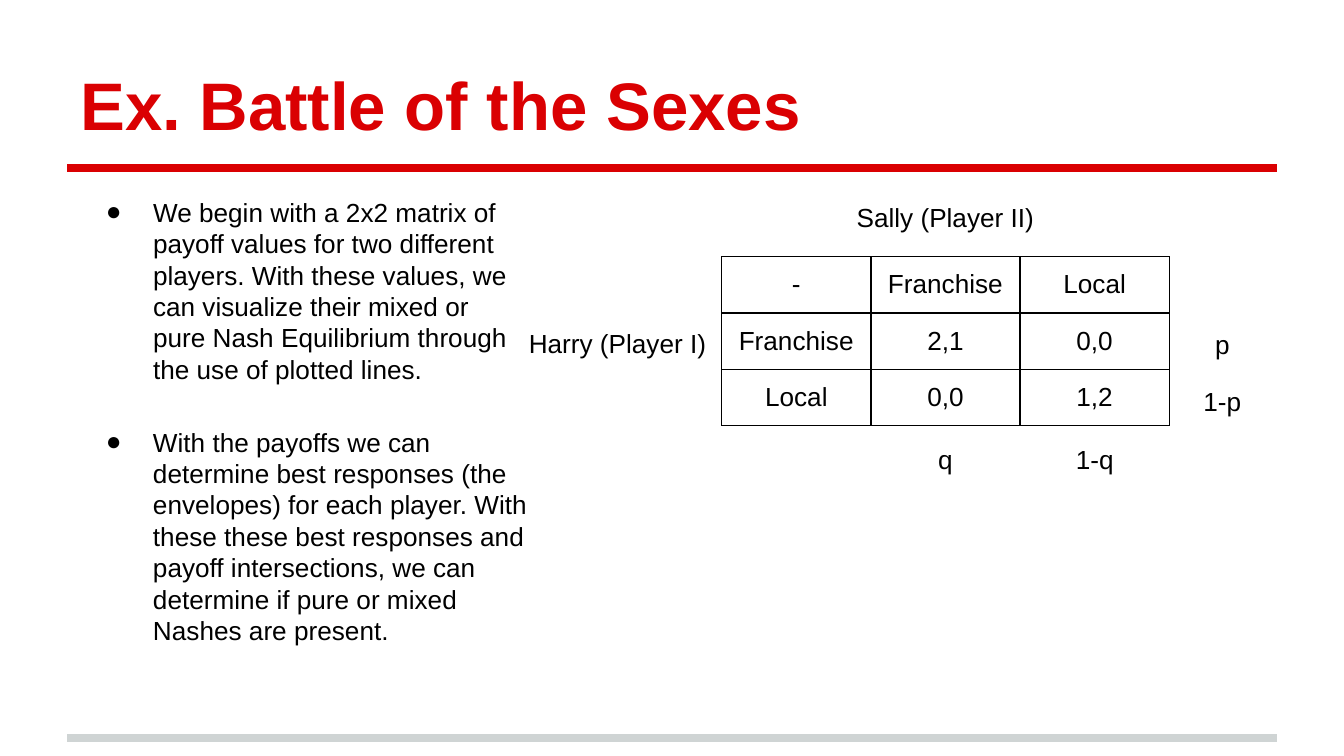
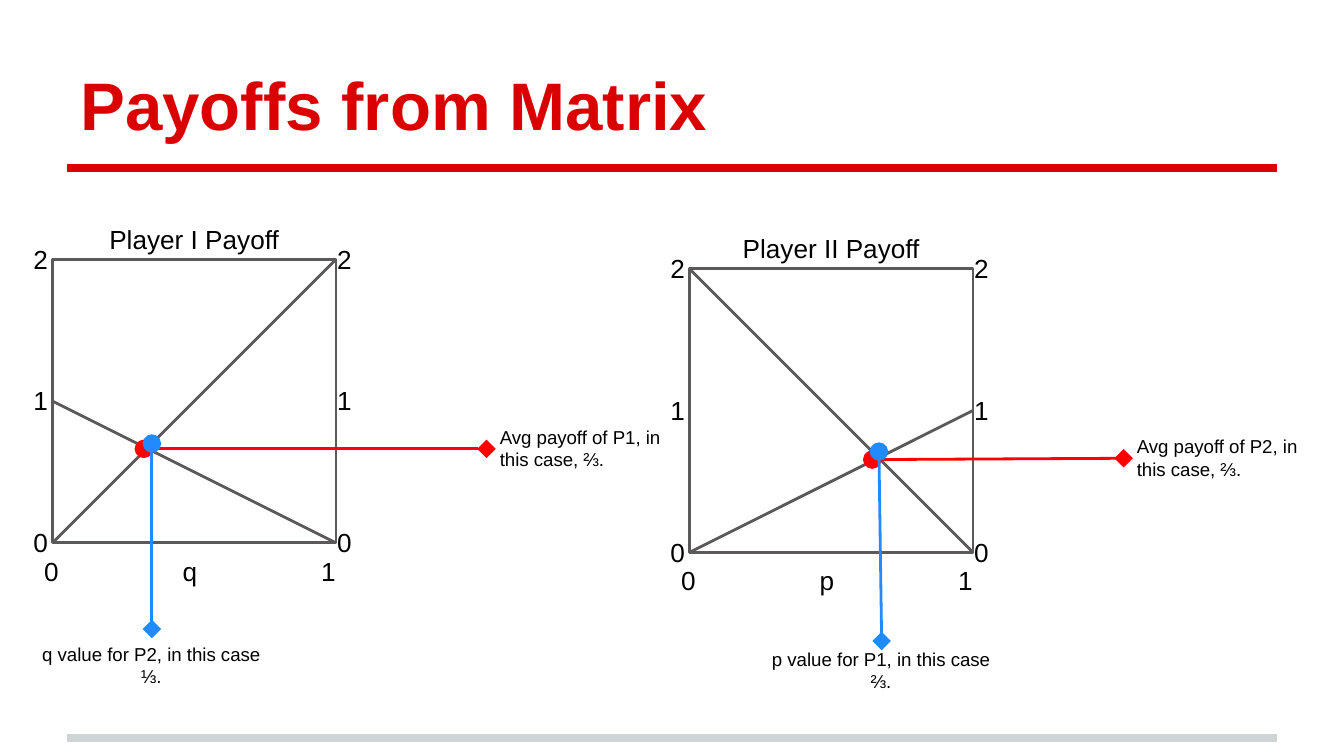
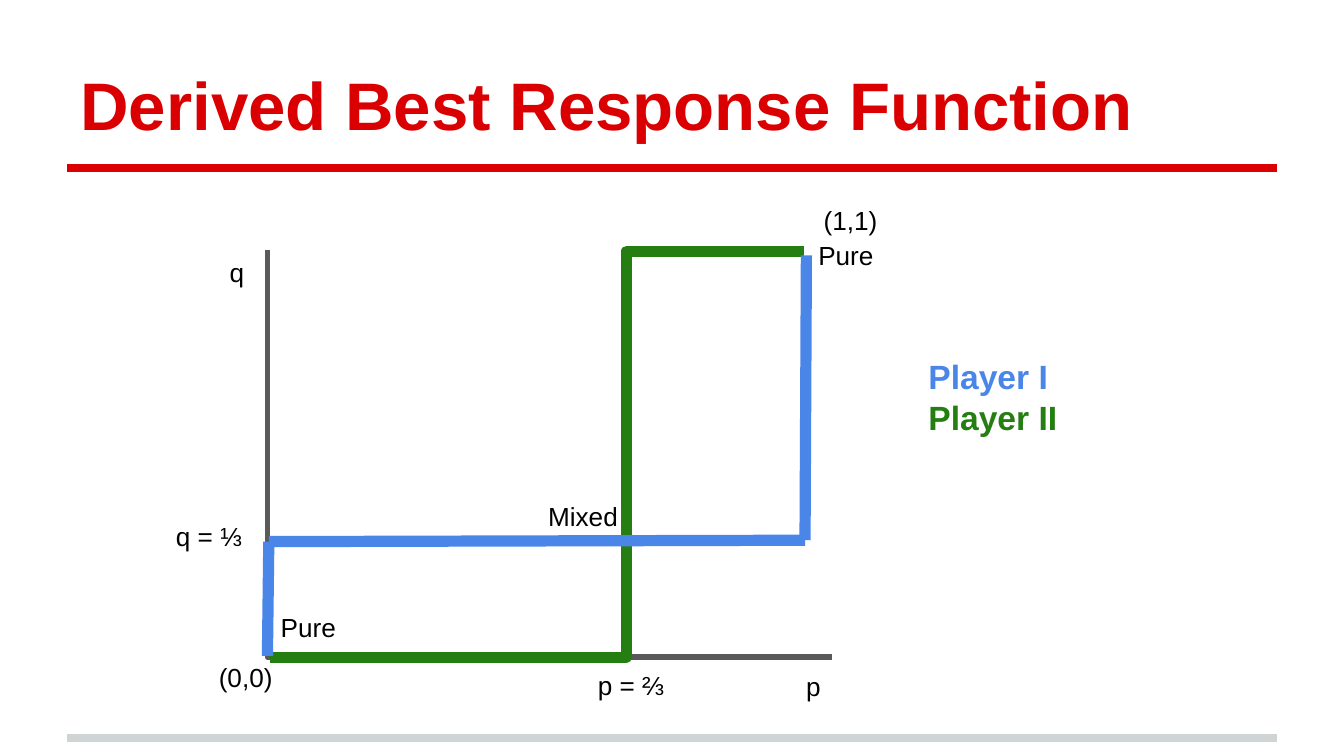
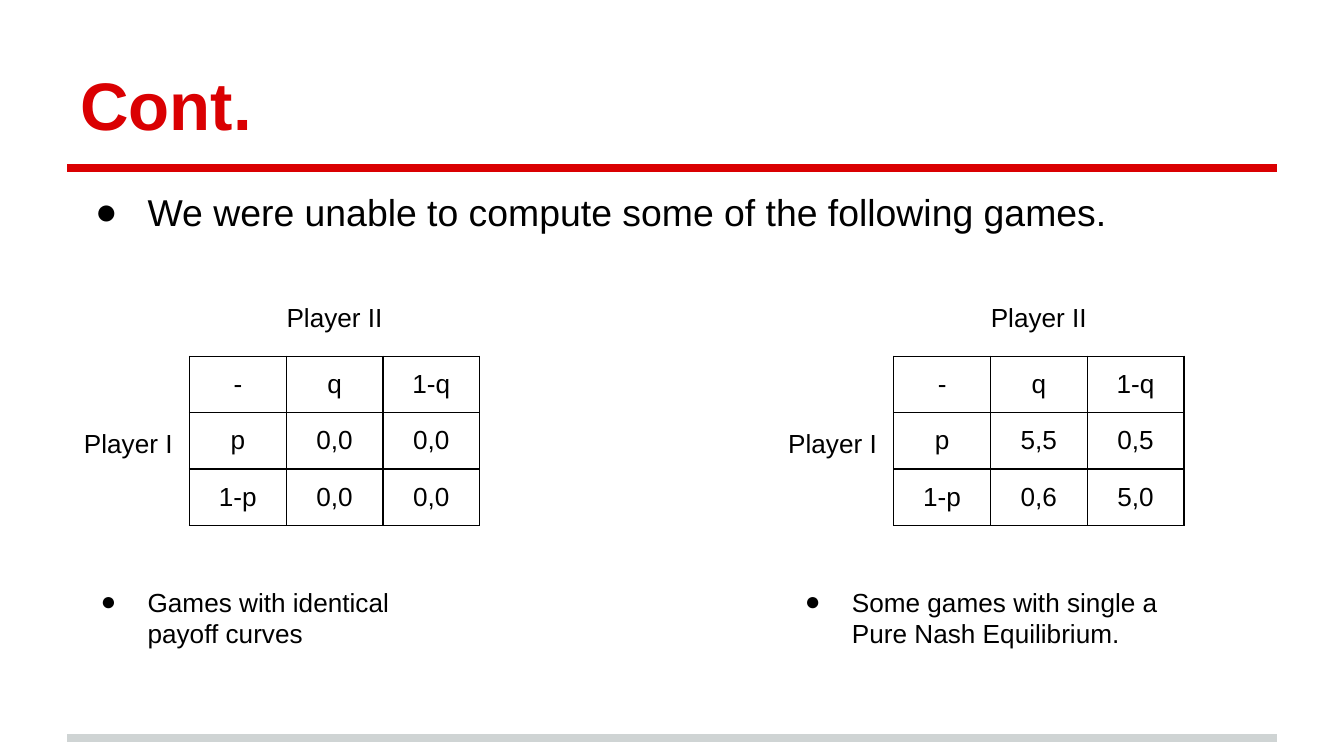
from lxml import etree
from pptx import Presentation
from pptx import util as u
from pptx.dml.color import RGBColor
from pptx.enum import shapes, text
from pptx.oxml import ns

COLORS = {
    "title": "DA0002", "footer": "CFD4D4", "ink": "000000", "axis": "5B595A",
    "payoff": "FF0000", "chance": "228AFF", "player1": "4A86E8", "player2": "257E12",
}
FONT = "Arial"
LEFT, CENTER = text.PP_ALIGN.LEFT, text.PP_ALIGN.CENTER
TOP, MIDDLE, BOTTOM = text.MSO_ANCHOR.TOP, text.MSO_ANCHOR.MIDDLE, text.MSO_ANCHOR.BOTTOM


def color(name):
    """Return the named colour."""
    return RGBColor.from_string(COLORS[name])


def inches(values):
    """Convert numbers to lengths."""
    return [u.Inches(value) for value in values]


def child(parent, tag, **attributes):
    """Append a DrawingML element to its parent."""
    return etree.SubElement(parent, ns.qn("a:" + tag), attributes)


def style(para, size=14, ink="ink", bold=False, align=LEFT):
    """Set the font and alignment of a paragraph."""
    para.alignment = align
    para.font.name = FONT
    para.font.size = u.Pt(size)
    para.font.bold = bold
    para.font.color.rgb = color(ink)


def set_insets(target, bottom=0.1):
    """Set the margins of a text frame or a cell."""
    target.margin_left = target.margin_top = target.margin_right = u.Inches(0.1)
    target.margin_bottom = u.Inches(bottom)


def add_text(page, box, words, anchor=TOP, **font):
    """Add a text box with one paragraph and return the paragraph."""
    frame = page.shapes.add_textbox(*inches(box)).text_frame
    frame.word_wrap = True
    frame.vertical_anchor = anchor
    set_insets(frame)
    para = frame.paragraphs[0]
    para.text = words
    style(para, **font)
    return para


def add_bullet(page, box, words, size=14, hanging=0.35):
    """Add a text box with one bulleted paragraph."""
    para = add_text(page, box, words, size=size)
    props = para._p.get_or_add_pPr()
    props.set("marL", str(u.Inches(0.5)))
    props.set("indent", str(-u.Inches(hanging)))
    child(child(props, "buClr"), "srgbClr", val=COLORS["ink"])
    child(props, "buFont", typeface=FONT)
    child(props, "buChar", char="●")


def add_line(page, start, end, ink, width=1.5, bend=None, pointer=False):
    """Add a straight line, or an elbow that turns at the share bend of its width."""
    kind = shapes.MSO_CONNECTOR.STRAIGHT if bend is None else shapes.MSO_CONNECTOR.ELBOW
    line = page.shapes.add_connector(kind, *inches((*start, *end)))
    line.line.color.rgb = color(ink)
    line.line.width = u.Pt(width)
    if bend is not None:
        guides = line._element.spPr.find(ns.qn("a:prstGeom")).get_or_add_avLst()
        child(guides, "gd", name="adj1", fmla=f"val {round(bend * 100000)}")
    if pointer:
        outline = line.line._get_or_add_ln()
        child(outline, "headEnd", type="oval", w="lg", len="lg")
        child(outline, "tailEnd", type="diamond", w="lg", len="lg")
    child(line._element.spPr, "effectLst")
    return line


def add_page(deck, title):
    """Add a slide with the shared title and rules."""
    page = deck.slides.add_slide(deck.slide_layouts[6])
    for y, ink in ((5.49, "footer"), (1.25, "title")):
        add_line(page, (0.5, y), (9.5, y), ink, 4)
    add_text(page, (0.5, 0.23, 9, 0.94), title, BOTTOM, size=36, ink="title", bold=True)
    return page


def border_cell(cell):
    """Draw thin borders on all sides of a cell."""
    props = cell._tc.get_or_add_tcPr()
    for index, side in enumerate(("lnL", "lnR", "lnT", "lnB")):
        border = child(props, side, w=str(u.Pt(0.75)))
        child(child(border, "solidFill"), "srgbClr", val=COLORS["ink"])
        props.insert(index, border)


def add_game(page, left, top, column_width, rows, row_player, column_player, label_width):
    """Add a payoff matrix with the two players' names beside it."""
    row_height = 0.42
    width = column_width * len(rows[0])
    box = inches((left, top, width, row_height * len(rows)))
    table = page.shapes.add_table(len(rows), len(rows[0]), *box).table
    table.first_row = table.horz_banding = False
    for column in table.columns:
        column.width = u.Inches(column_width)
    for row, values in zip(table.rows, rows):
        row.height = u.Inches(row_height)
        for cell, value in zip(row.cells, values):
            cell.text = value
            cell.fill.background()
            set_insets(cell, bottom=0.08)
            border_cell(cell)
            style(cell.text_frame.paragraphs[0], align=CENTER)
    add_text(page, (left, top - 0.51, width, 0.5), column_player, align=CENTER)
    add_text(page, (left - label_width, top, label_width, 1.29), row_player, MIDDLE, align=CENTER)


def add_payoff_plot(page, left, top, title, variable, payoff, chance, note, note_at, rising):
    """Add a payoff square with its two payoff lines, pointers and notes."""
    side = 2.11

    def at(x, y):
        return left + x, top + y

    square = page.shapes.add_shape(shapes.MSO_SHAPE.RECTANGLE, *inches((*at(0, 0), side, side)))
    square.shadow.inherit = False
    square.fill.background()
    square.line.color.rgb = color("axis")
    square.line.width = u.Pt(1.5)
    add_text(page, (*at(0, -0.37), side, 0.37), title, align=CENTER)
    for index, label in enumerate(("0", variable, "1")):
        add_text(page, (*at(-0.16 + 1.03 * index, 2.1), 0.35, 0.49), label)
    for x in (-0.24, 2.02):
        for index, label in enumerate("210"):
            add_text(page, (*at(x, -0.15 + side / 2 * index), 0.23, 0.29), label, MIDDLE)
    near, far = (0, side) if rising else (side, 0)
    add_line(page, at(near, side), at(far, 0), "axis")
    flat = add_line(page, at(far, side), at(near, side / 2), "axis")
    flat.end_connect(square, 1 if rising else 3)
    for (start, end), ink in ((payoff, "payoff"), (chance, "chance")):
        add_line(page, at(*start), at(*end), ink, pointer=True)
    player = "P1" if rising else "P2"
    add_text(page, (*at(3.23, 1.31), 1.58, 0.19),
             f"Avg payoff of {player}, in this case, ⅔.", MIDDLE, size=10)
    add_text(page, (*at(*note_at), 1.95, 0.29), note, size=10, align=CENTER)


def add_response_plot(page, left, top):
    """Add the axes and both best response paths."""
    width, height = 4.2, 3.03
    bottom, right, middle = top + height, left + 4, top + 2.16
    add_line(page, (left, top), (left + width, bottom), "axis", 3, bend=0)
    add_line(page, (left + 0.02, bottom), (right - 0.01, top + 0.01), "player2", 6, bend=0.668)
    path = [(left, bottom - 0.01), (left + 0.01, middle + 0.01),
            (right, middle), (right + 0.01, top + 0.04)]
    for start, end in zip(path, path[1:]):
        add_line(page, start, end, "player1", 6)
    labels = (
        ("Pure", 4, -0.18, 0.68), ("Pure", 0, 2.59, 0.68), ("Mixed", 1.99, 1.76, 0.27),
        ("q = ⅓", -0.78, 1.91, 0.68), ("p = ⅔", 2.36, 3.02, 0.68),
        ("(1,1)", 4.04, -0.38, 0.14), ("(0,0)", -0.46, 3.02, 0.14),
        ("q", -0.38, -0.05, 0.41), ("p", 3.91, 3.03, 0.41),
    )
    for label, x, y, label_height in labels:
        add_text(page, (left + x, top + y, 0.93, label_height), label)


def add_legend(page, box):
    """Add the coloured names of the two players."""
    first = add_text(page, box, "Player I", size=18, ink="player1", bold=True)
    second = first._parent.add_paragraph()
    second.text = "Player II"
    style(second, 18, "player2", True)


def build_battle(deck):
    """Build the slide with the example game."""
    page = add_page(deck, "Ex. Battle of the Sexes")
    rows = (("-", "Franchise", "Local"), ("Franchise", "2,1", "0,0"), ("Local", "0,0", "1,2"))
    left, top, column = 5.37, 1.91, 1.11
    add_game(page, left, top, column, rows, "Harry (Player I)", "Sally (Player II)", 1.55)
    for index, (across, down) in enumerate((("q", "p"), ("1-q", "1-p"))):
        add_text(page, (left + column * (index + 1), top + 1.29, column, 0.37), across, align=CENTER)
        add_text(page, (8.69, top + 0.43 * (index + 1), 0.81, 0.43), down, align=CENTER)
    add_bullet(page, (0.54, 1.36, 3.39, 1.51),
               "We begin with a 2x2 matrix of payoff values for two different players. With these "
               "values, we can visualize their mixed or pure Nash Equilibrium through the use of "
               "plotted lines.")
    add_bullet(page, (0.54, 3.07, 3.54, 1.81),
               "With the payoffs we can determine best responses (the envelopes) for each player. "
               "With these these best responses and payoff intersections, we can determine if pure "
               "or mixed Nashes are present.")


def build_payoffs(deck):
    """Build the slide with both payoff plots."""
    page = add_page(deck, "Payoffs from Matrix")
    add_payoff_plot(page, 0.39, 1.93, "Player I Payoff", "q",
                    ((0.68, 1.41), (3.23, 1.41)), ((0.74, 1.37), (0.74, 2.75)),
                    "q value for P2, in this case ⅓.", (-0.24, 2.75), rising=True)
    add_payoff_plot(page, 5.13, 2, "Player II Payoff", "p",
                    ((1.36, 1.42), (3.23, 1.41)), ((1.41, 1.36), (1.43, 2.77)),
                    "p value for P1, in this case ⅔.", (0.45, 2.72), rising=False)


def build_response(deck):
    """Build the slide with the best response functions."""
    page = add_page(deck, "Derived Best Response Function")
    add_response_plot(page, 1.99, 1.86)
    add_legend(page, (6.81, 2.55, 2.14, 1.22))


def build_unsolved(deck):
    """Build the slide with the games left unsolved."""
    page = add_page(deck, "Cont.")
    add_bullet(page, (0.5, 1.31, 9, 0.83),
               "We were unable to compute some of the following games.", 20, 0.39)
    games = (
        (0.5, ("0,0", "0,0"), ("0,0", "0,0"), "Games with identical payoff curves"),
        (5.74, ("5,5", "0,5"), ("0,6", "5,0"), "Some games with single a Pure Nash Equilibrium."),
    )
    for left, upper, lower, note in games:
        rows = (("-", "q", "1-q"), ("p", *upper), ("1-p", *lower))
        add_game(page, left + 0.91, 2.65, 0.72, rows, "Player I", "Player II", 0.91)
        add_bullet(page, (left, 4.26, 3.06, 0.68), note)


def main():
    """Build and save the deck."""
    deck = Presentation()
    deck.slide_width = u.Inches(10)
    deck.slide_height = u.Inches(5.625)
    for build in (build_battle, build_payoffs, build_response, build_unsolved):
        build(deck)
    deck.save("out.pptx")


if __name__ == "__main__":
    main()
